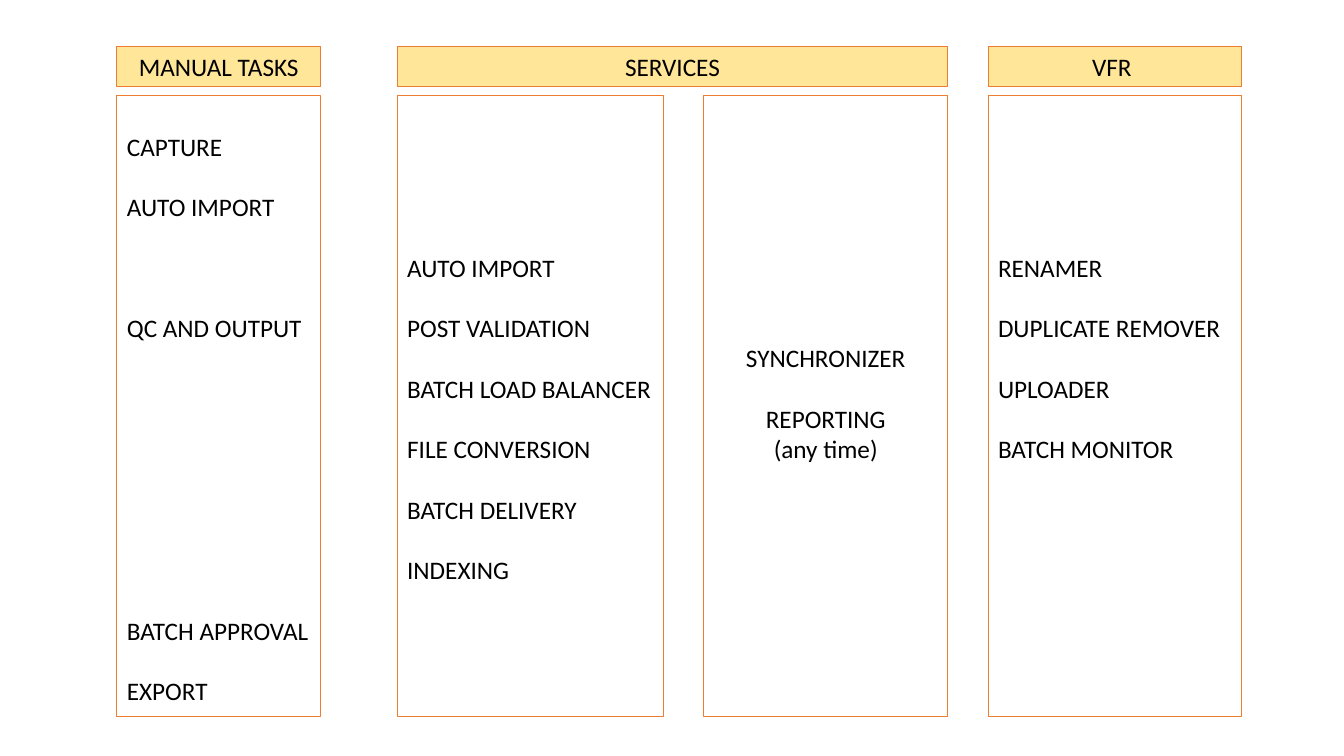
from dataclasses import dataclass

from pptx import Presentation
from pptx.dml.color import RGBColor
from pptx.enum.shapes import MSO_SHAPE
from pptx.enum.text import MSO_ANCHOR, PP_ALIGN
from pptx.util import Inches, Pt

RECTANGLE = MSO_SHAPE.RECTANGLE
LEFT, CENTER = PP_ALIGN.LEFT, PP_ALIGN.CENTER
TOP = MSO_ANCHOR.TOP

HEADINGS = [
    ("MANUAL TASKS", 0, 0),
    ("SERVICES", 1, 2),
    ("VFR ", 3, 3),
]

STAGES = [
    (LEFT, [(1, "CAPTURE"), (3, "AUTO IMPORT"), (7, "QC AND OUTPUT"),
            (17, "BATCH APPROVAL"), (19, "EXPORT")]),
    (LEFT, [(5, "AUTO IMPORT"), (7, "POST VALIDATION"),
            (9, "BATCH LOAD BALANCER"), (11, "FILE CONVERSION"),
            (13, "BATCH DELIVERY"), (15, "INDEXING")]),
    (CENTER, [(8, "SYNCHRONIZER"), (10, "REPORTING"), (11, "(any time)")]),
    (LEFT, [(5, "RENAMER"), (7, "DUPLICATE REMOVER"), (9, "UPLOADER"),
            (11, "BATCH MONITOR")]),
]


@dataclass(frozen=True)
class Theme:
    font: str = "Calibri"
    size: float = 18
    row_points: float = 21.6
    text: RGBColor = RGBColor(0x00, 0x00, 0x00)
    border: RGBColor = RGBColor(0xED, 0x7D, 0x31)
    heading_fill: RGBColor = RGBColor(0xFF, 0xE6, 0x99)


THEME = Theme()
SLIDE_SIZE = (13.33, 7.5)
COLUMNS = [(1.16, 2.02), (3.94, 2.64), (6.98, 2.42), (9.8, 2.51)]
HEADING_BAND = (0.46, 0.4)
STAGE_BAND = (0.95, 6.16)
INSET = 0.05


def add_box(slide, first, last, band, fill=None):
    left = COLUMNS[first][0]
    width = sum(COLUMNS[last]) - left
    top, height = band
    box = slide.shapes.add_shape(
        RECTANGLE, Inches(left), Inches(top), Inches(width), Inches(height))
    box.shadow.inherit = False
    box.line.color.rgb = THEME.border
    box.line.width = Pt(0.75)
    if fill is None:
        box.fill.background()
    else:
        box.fill.solid()
        box.fill.fore_color.rgb = fill
    box.text_frame.word_wrap = True
    return box.text_frame


def write_rows(frame, rows, alignment):
    first_row = rows[0][0]
    frame.margin_top = Inches(INSET) + Pt(first_row * THEME.row_points)
    previous = first_row - 1
    for row, label in rows:
        paragraph = (frame.paragraphs[0] if row == first_row
                     else frame.add_paragraph())
        paragraph.text = label
        paragraph.alignment = alignment
        paragraph.space_before = Pt((row - previous - 1) * THEME.row_points)
        paragraph.font.name = THEME.font
        paragraph.font.size = Pt(THEME.size)
        paragraph.font.color.rgb = THEME.text
        previous = row


def main():
    deck = Presentation()
    deck.slide_width, deck.slide_height = map(Inches, SLIDE_SIZE)
    slide = deck.slides.add_slide(deck.slide_layouts[6])

    for column, (alignment, rows) in enumerate(STAGES):
        frame = add_box(slide, column, column, STAGE_BAND)
        frame.vertical_anchor = TOP
        write_rows(frame, rows, alignment)

    for heading, first, last in HEADINGS:
        frame = add_box(slide, first, last, HEADING_BAND, THEME.heading_fill)
        write_rows(frame, [(0, heading)], CENTER)

    deck.save("out.pptx")


if __name__ == "__main__":
    main()
